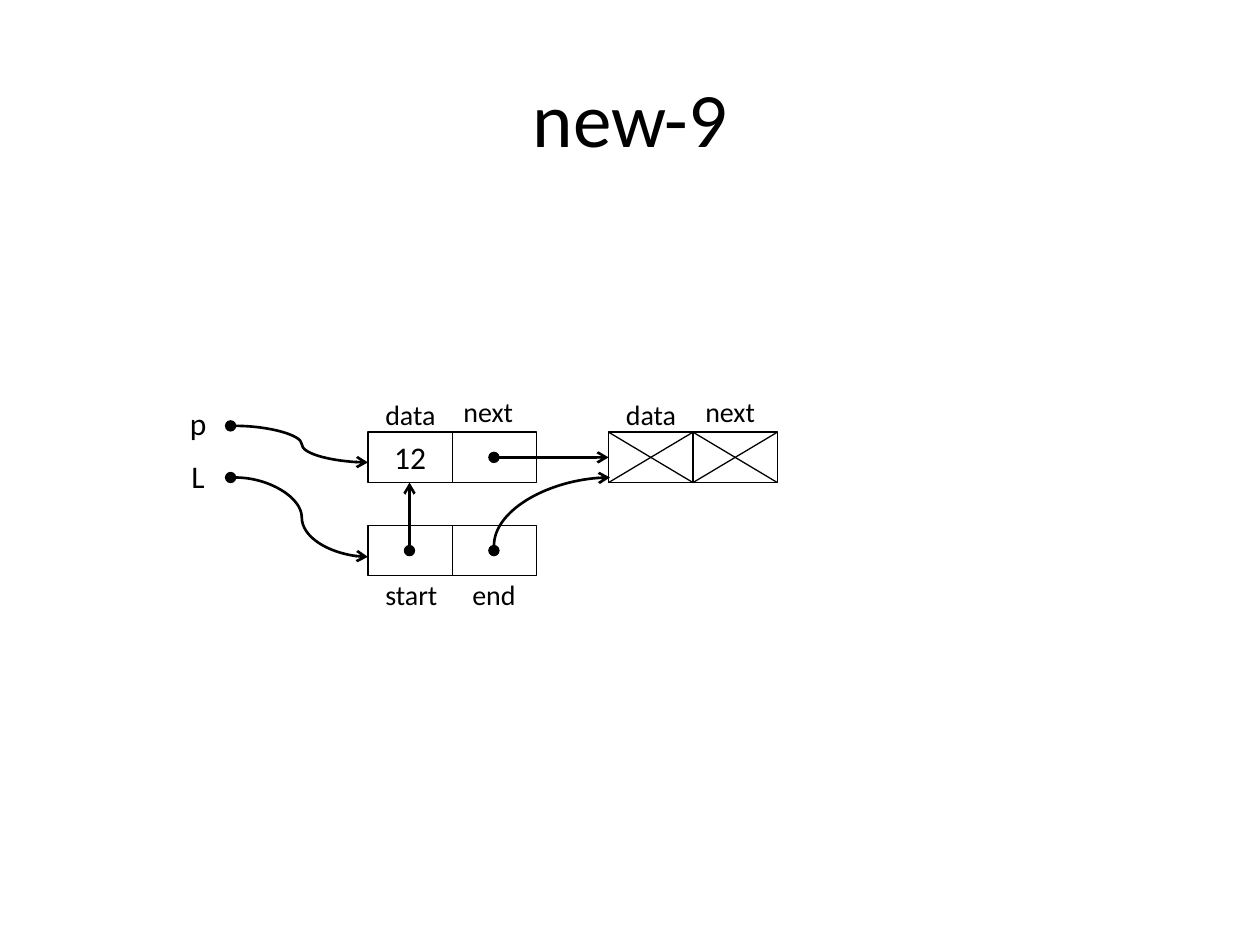
from lxml.etree import SubElement
from pptx import Presentation
from pptx.dml.color import RGBColor
from pptx.enum.shapes import MSO_CONNECTOR, MSO_SHAPE
from pptx.enum.text import MSO_ANCHOR, PP_ALIGN
from pptx.oxml.ns import qn
from pptx.util import Inches, Pt

COLORS = {"ink": "000000"}
INK = RGBColor.from_string(COLORS["ink"])
CELL_W, CELL_H, DOT = 0.67, 0.4, 0.08

prs = Presentation()
prs.slide_width, prs.slide_height = Inches(10), Inches(7.5)
slide = prs.slides.add_slide(prs.slide_layouts[6])


def write(frame, text, size, align):
    frame.vertical_anchor = MSO_ANCHOR.MIDDLE
    paragraph = frame.paragraphs[0]
    paragraph.alignment = align
    run = paragraph.add_run()
    run.text = text
    run.font.name = "Calibri"
    run.font.size = Pt(size)
    run.font.color.rgb = INK


def connect(kind, x1, y1, x2, y2, width=1.5, arrow=True):
    link = slide.shapes.add_connector(
        kind, Inches(x1), Inches(y1), Inches(x2), Inches(y2))
    link.line.color.rgb = INK
    link.line.width = Pt(width)
    if arrow:
        SubElement(link.line._get_or_add_ln(), qn("a:tailEnd"), type="arrow")
    SubElement(link._element.spPr, qn("a:effectLst"))
    return link


# Title
title = slide.shapes.add_textbox(Inches(0.5), Inches(0.3), Inches(9), Inches(1.25))
title.text_frame.word_wrap = True
write(title.text_frame, "new-9", 44, PP_ALIGN.CENTER)

# Cells: two list nodes above, the list header below
for left, top, value, crossed in [
    (2.92, 3.43, "12", False),
    (4.83, 3.43, "", True),
    (2.92, 4.17, "", False),
]:
    for column in range(2):
        x = left + column * CELL_W
        cell = slide.shapes.add_shape(
            MSO_SHAPE.RECTANGLE, Inches(x), Inches(top), Inches(CELL_W), Inches(CELL_H))
        cell.shadow.inherit = False
        cell.fill.background()
        cell.line.color.rgb = INK
        cell.line.width = Pt(0.75)
        if value and column == 0:
            write(cell.text_frame, value, 18, PP_ALIGN.CENTER)
        if crossed:
            for start, end in [(x, x + CELL_W), (x + CELL_W, x)]:
                connect(MSO_CONNECTOR.STRAIGHT, start, top, end, top + CELL_H, 0.75, False)

# Variable names and field names
for text, x, y, w, h, size in [
    ("p", 1.41, 3.16, 0.34, 0.4, 18),
    ("L", 1.42, 3.58, 0.31, 0.4, 18),
    ("data", 2.96, 3.1, 0.6, 0.37, 16),
    ("next", 3.58, 3.08, 0.6, 0.37, 16),
    ("data", 4.87, 3.1, 0.6, 0.37, 16),
    ("next", 5.5, 3.08, 0.6, 0.37, 16),
    ("start", 2.96, 4.53, 0.62, 0.37, 16),
    ("end", 3.65, 4.53, 0.55, 0.37, 16),
]:
    label = slide.shapes.add_textbox(Inches(x), Inches(y), Inches(w), Inches(h))
    label.text_frame.word_wrap = False
    write(label.text_frame, text, size, PP_ALIGN.LEFT)

# Dots where the pointers start: p, L, next, start, end
for x, y in [(1.83, 3.38), (1.83, 3.79), (3.92, 3.63), (3.25, 4.37), (3.92, 4.37)]:
    dot = slide.shapes.add_shape(
        MSO_SHAPE.OVAL, Inches(x - DOT / 2), Inches(y - DOT / 2), Inches(DOT), Inches(DOT))
    dot.shadow.inherit = False
    dot.fill.solid()
    dot.fill.fore_color.rgb = INK
    dot.line.color.rgb = INK
    dot.line.width = Pt(0.75)

# Pointer arrows
connect(MSO_CONNECTOR.CURVE, 1.87, 3.38, 2.92, 3.67)
connect(MSO_CONNECTOR.CURVE, 1.87, 3.79, 2.92, 4.42)
connect(MSO_CONNECTOR.STRAIGHT, 3.96, 3.63, 4.83, 3.63)
connect(MSO_CONNECTOR.STRAIGHT, 3.25, 4.33, 3.25, 3.83)

# The end pointer is a single bend, turned by a quarter
end_pointer = connect(MSO_CONNECTOR.CURVE, 4.65, 4.52, 4.11, 3.6)
end_pointer._element.spPr.find(qn("a:xfrm")).set("rot", "5400000")
end_pointer._element.spPr.find(qn("a:prstGeom")).set("prst", "curvedConnector2")

prs.save("out.pptx")
